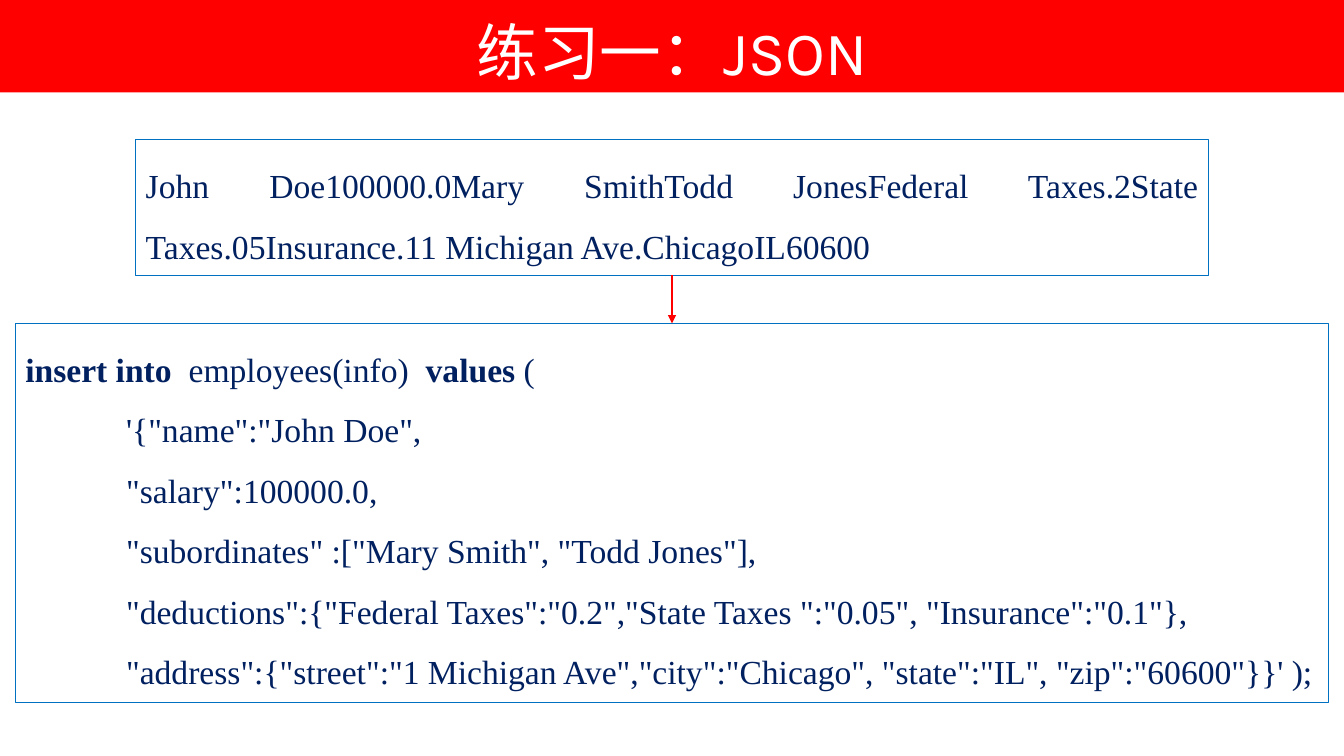
"""Build the JSON exercise slide: raw data turned into an insert statement."""
from dataclasses import dataclass

from lxml import etree
from pptx import Presentation
from pptx import util as u
from pptx.dml.color import RGBColor
from pptx.enum import shapes, text
from pptx.oxml.ns import qn

RED, WHITE, BLUE, NAVY = "FF0000", "FFFFFF", "0070C0", "002060"
CENTER, JUSTIFY, LEFT = text.PP_ALIGN.CENTER, text.PP_ALIGN.JUSTIFY, text.PP_ALIGN.LEFT
CODE_INDENT = 72


@dataclass(frozen=True)
class Line:
    segments: tuple[str, ...]
    indent: float = 0
    bold: tuple[str, ...] = ()
    align: text.PP_ALIGN = JUSTIFY


@dataclass(frozen=True)
class Box:
    left: float
    top: float
    width: float
    height: float
    lines: tuple[Line, ...]
    fill: str | None = None
    outline: str | None = BLUE
    font: str = "Times New Roman"
    size: float = 24
    color: str = NAVY
    spacing: float = 1.5
    bottom_inset: float = 11.5
    anchor: text.MSO_ANCHOR = text.MSO_ANCHOR.TOP
    autosize: text.MSO_AUTO_SIZE = text.MSO_AUTO_SIZE.SHAPE_TO_FIT_TEXT


TITLE = Box(0, 0, 960, 66, (Line(("练习一：JSON",), align=CENTER),),
            fill=RED, outline=None, font="Karla", size=44, color=WHITE,
            spacing=1, bottom_inset=3.6, anchor=text.MSO_ANCHOR.BOTTOM,
            autosize=text.MSO_AUTO_SIZE.NONE)

RAW_DATA = Box(97, 100, 766, 96.5, (
    Line(("John Doe100000.0Mary SmithTodd JonesFederal Taxes.2State "
          "Taxes.05Insurance.11 Michigan Ave.ChicagoIL60600",)),
))

STATEMENT = Box(11, 231, 938, 271, (
    Line(("insert into  ", "employees(info)  ", "values", " ("),
         bold=("insert into  ", "values")),
    Line(("'{\"name\":\"John Doe\",",), CODE_INDENT),
    Line(('"salary":100000.0,',), CODE_INDENT),
    Line(('"subordinates" :["Mary Smith", "Todd Jones"],',), CODE_INDENT),
    Line(('"deductions":{"Federal Taxes":"0.2","State Taxes ":"0.05", "Insurance":"0.1"},',),
         CODE_INDENT),
    Line(('"address":{"street":"1 Michigan Ave","city":"Chicago", '
          '"state":"IL", "zip":"60600"}}\' );',), CODE_INDENT, align=LEFT),
))


def rgb(value: str) -> RGBColor:
    return RGBColor.from_string(value)


def write_line(paragraph, line: Line, box: Box) -> None:
    paragraph.text = line.segments[0]
    for segment in line.segments[1:]:
        paragraph.add_run().text = segment
    paragraph.alignment = line.align
    paragraph.line_spacing = box.spacing
    if line.indent:
        properties = paragraph._p.get_or_add_pPr()
        properties.set("marL", str(u.Pt(line.indent)))
        properties.set("indent", "0")
    for run in paragraph.runs:
        run.font.name = box.font
        run.font.size = u.Pt(box.size)
        run.font.bold = run.text in line.bold
        run.font.color.rgb = rgb(box.color)


def draw_box(slide, box: Box):
    shape = slide.shapes.add_shape(
        shapes.MSO_SHAPE.RECTANGLE,
        u.Pt(box.left), u.Pt(box.top), u.Pt(box.width), u.Pt(box.height))
    shape.shadow.inherit = False
    if box.fill:
        shape.fill.solid()
        shape.fill.fore_color.rgb = rgb(box.fill)
    else:
        shape.fill.background()
    if box.outline:
        shape.line.color.rgb = rgb(box.outline)
        shape.line.width = u.Pt(0.75)
    else:
        shape.line.fill.background()

    frame = shape.text_frame
    frame.word_wrap = True
    frame.auto_size = box.autosize
    frame.vertical_anchor = box.anchor
    frame.margin_left = frame.margin_right = u.Pt(7.2)
    frame.margin_top = u.Pt(3.6)
    frame.margin_bottom = u.Pt(box.bottom_inset)
    for index, line in enumerate(box.lines):
        paragraph = frame.add_paragraph() if index else frame.paragraphs[0]
        write_line(paragraph, line, box)
    return shape


def draw_arrow(slide, source, target) -> None:
    connector = slide.shapes.add_connector(shapes.MSO_CONNECTOR.STRAIGHT, 0, 0, 0, 0)
    connector.begin_connect(source, 2)
    connector.end_connect(target, 0)
    connector.line.color.rgb = rgb(RED)
    connector.line.width = u.Pt(1.5)
    etree.SubElement(connector.line._get_or_add_ln(), qn("a:tailEnd"), type="triangle")
    etree.SubElement(connector._element.spPr, qn("a:effectLst"))


def main() -> None:
    presentation = Presentation()
    presentation.slide_width = u.Pt(960)
    presentation.slide_height = u.Pt(540)
    slide = presentation.slides.add_slide(presentation.slide_layouts[6])
    draw_box(slide, TITLE)
    statement = draw_box(slide, STATEMENT)
    raw_data = draw_box(slide, RAW_DATA)
    draw_arrow(slide, raw_data, statement)
    presentation.save("out.pptx")


if __name__ == "__main__":
    main()
